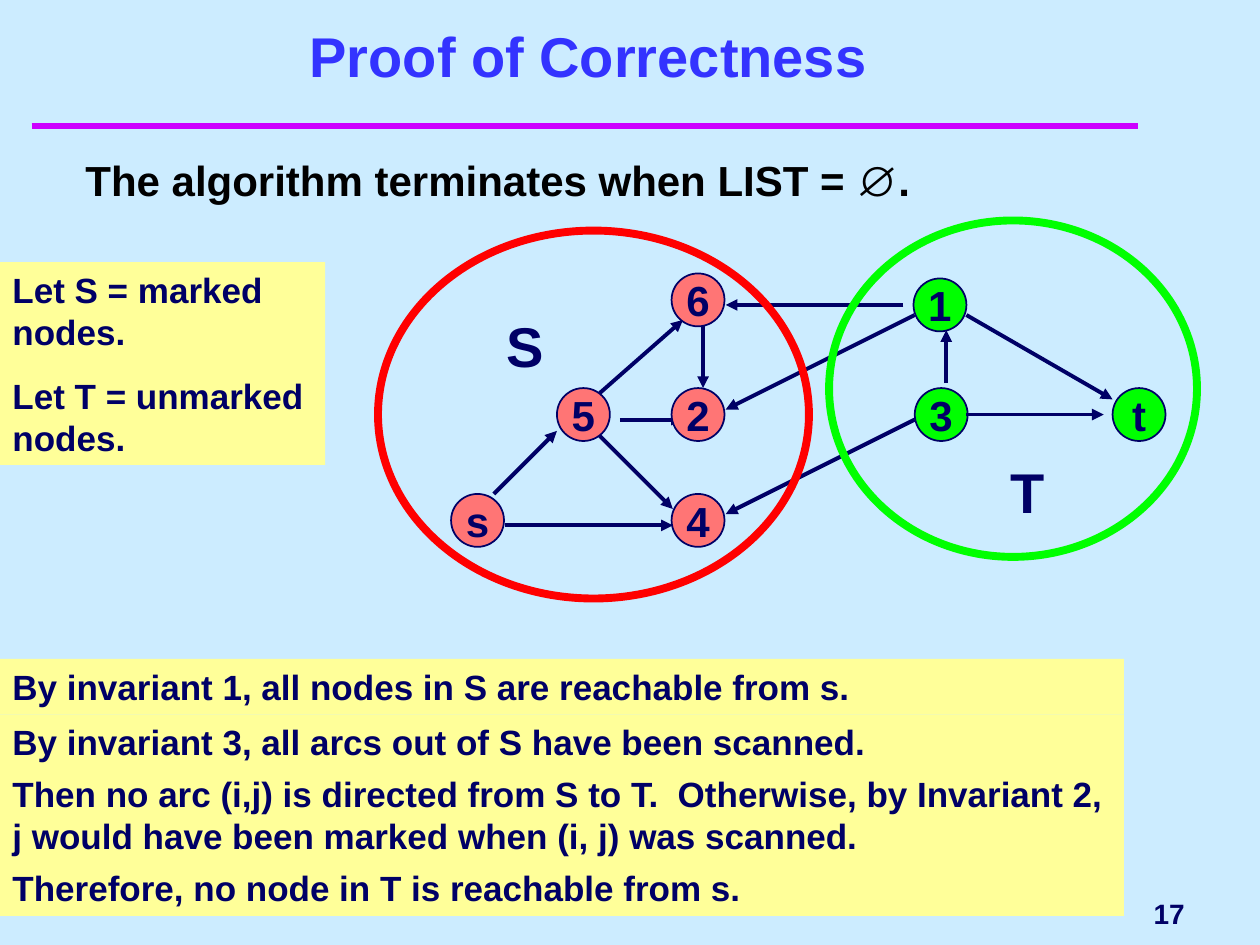
from lxml.etree import SubElement
from pptx import Presentation
from pptx.dml.color import RGBColor
from pptx.enum.shapes import MSO_CONNECTOR, MSO_SHAPE
from pptx.enum.text import MSO_ANCHOR, PP_ALIGN
from pptx.oxml.ns import qn
from pptx.util import Inches, Pt

NAVY, GREEN, RED = "000066", "00FF00", "FF0000"
SALMON, YELLOW, BLUE = "FF7575", "FFFF99", "3333FF"
NODE_SIZE = 0.42

TITLE = "Proof of Correctness"
STATEMENT = "The algorithm terminates when LIST = ∅."
PAGE_NUMBER = "17"
NOTES = [
    (2.08, 2.58, 1.61, ["Let S = marked nodes.", "Let T = unmarked nodes."]),
    (6.08, 8.92, 0.77, ["Then no arc (i,j) is directed from S to T.  Otherwise, "
                        "by Invariant 2, j would have been marked when (i, j) was scanned."]),
    (5.23, 8.92, 0.44, ["By invariant 1, all nodes in S are reachable from s."]),
    (5.67, 8.92, 0.44, ["By invariant 3, all arcs out of S have been scanned."]),
    (6.83, 8.92, 0.44, ["Therefore, no node in T is reachable from s."]),
]
UNMARKED_NODES = [("1", 7.25, 2.21), ("t", 8.83, 3.08), ("3", 7.26, 3.08)]
MARKED_NODES = [("s", 3.58, 3.92), ("5", 4.42, 3.08), ("4", 5.33, 3.92),
                ("2", 5.33, 3.08), ("6", 5.33, 2.17)]
ARCS = [
    (3.92, 3.92, 4.42, 3.42), (4.01, 4.17, 5.34, 4.17), (4.76, 3.46, 5.34, 4.04),
    (4.76, 3.12, 5.42, 2.54), (5.58, 2.58, 5.58, 3.08), (7.26, 3.33, 5.76, 4.08),
    (7.26, 2.5, 5.76, 3.25), (7.17, 2.42, 5.76, 2.42), (7.67, 2.5, 8.83, 3.17),
    (7.67, 3.29, 8.76, 3.29), (7.51, 3.04, 7.51, 2.62), (4.92, 3.33, 5.42, 3.33),
]
SETS = [("S", RED, (3, 1.83, 3.42, 2.92), (3.92, 2.42)),
        ("T", GREEN, (6.58, 1.75, 2.92, 2.67), (7.92, 3.58))]


def color(value):
    return RGBColor.from_string(value)


def write(shape, paragraphs, size, font_color=NAVY, align=PP_ALIGN.LEFT,
          anchor=MSO_ANCHOR.TOP, wrap=True, space_before=0):
    text_frame = shape.text_frame
    text_frame.text = "\n".join(paragraphs)
    text_frame.word_wrap = wrap
    text_frame.vertical_anchor = anchor
    for paragraph in text_frame.paragraphs:
        paragraph.alignment = align
        paragraph.space_before = Pt(space_before)
        for run in paragraph.runs:
            run.font.name = "Arial"
            run.font.size = Pt(size)
            run.font.bold = True
            run.font.color.rgb = color(font_color)


def add_text(slide, box, text, size, **options):
    shape = slide.shapes.add_textbox(*map(Inches, box))
    write(shape, [text], size, **options)
    return shape


def add_shape(slide, kind, box, fill=None, line=None, width=1):
    shape = slide.shapes.add_shape(kind, *map(Inches, box))
    shape.shadow.inherit = False
    if fill:
        shape.fill.solid()
        shape.fill.fore_color.rgb = color(fill)
    else:
        shape.fill.background()
    if line:
        shape.line.color.rgb = color(line)
        shape.line.width = Pt(width)
    else:
        shape.line.fill.background()
    return shape


def add_line(slide, ends, line, width, arrow=False):
    connector = slide.shapes.add_connector(MSO_CONNECTOR.STRAIGHT, *map(Inches, ends))
    connector.line.color.rgb = color(line)
    connector.line.width = Pt(width)
    if arrow:
        SubElement(connector.line._get_or_add_ln(), qn("a:tailEnd"), type="triangle")
    SubElement(connector._element.spPr, qn("a:effectLst"))


def add_nodes(slide, nodes, fill):
    for label, left, top in nodes:
        node = add_shape(slide, MSO_SHAPE.OVAL, (left, top, NODE_SIZE, NODE_SIZE), fill, NAVY)
        write(node, [label], 24, align=PP_ALIGN.CENTER, anchor=MSO_ANCHOR.MIDDLE, wrap=False)


def add_note(slide, top, width, height, paragraphs):
    note = add_shape(slide, MSO_SHAPE.RECTANGLE, (0, top, width, height), YELLOW)
    write(note, paragraphs, 20, space_before=12.5)


def main():
    presentation = Presentation()
    presentation.slide_width, presentation.slide_height = Inches(10), Inches(7.5)
    slide = presentation.slides.add_slide(presentation.slide_layouts[6])
    slide.background.fill.solid()
    slide.background.fill.fore_color.rgb = color("CCECFF")

    add_line(slide, (0.25, 1, 9.03, 1), "CC00FF", 4)
    add_text(slide, (0.42, 0.17, 8.5, 0.58), TITLE, 32, font_color=BLUE,
             align=PP_ALIGN.CENTER, anchor=MSO_ANCHOR.BOTTOM)
    statement = add_text(slide, (0.58, 1.08, 8.45, 0.75), STATEMENT, 24,
                         font_color="000000", space_before=6)
    statement.text_frame.paragraphs[0].line_spacing = Pt(35.7)
    add_text(slide, (7.58, 7, 1.92, 0.5), PAGE_NUMBER, 16,
             align=PP_ALIGN.RIGHT, anchor=MSO_ANCHOR.MIDDLE)

    add_note(slide, *NOTES[0])
    add_nodes(slide, UNMARKED_NODES, GREEN)
    for ends in ARCS:
        add_line(slide, ends, NAVY, 2.25, arrow=True)
    add_nodes(slide, MARKED_NODES, SALMON)
    for name, outline, box, label_position in SETS:
        add_shape(slide, MSO_SHAPE.OVAL, box, line=outline, width=4.5)
        add_text(slide, (*label_position, 0.67, 0.64), name, 32, space_before=20)
    for note in NOTES[1:]:
        add_note(slide, *note)

    presentation.save("out.pptx")


if __name__ == "__main__":
    main()
